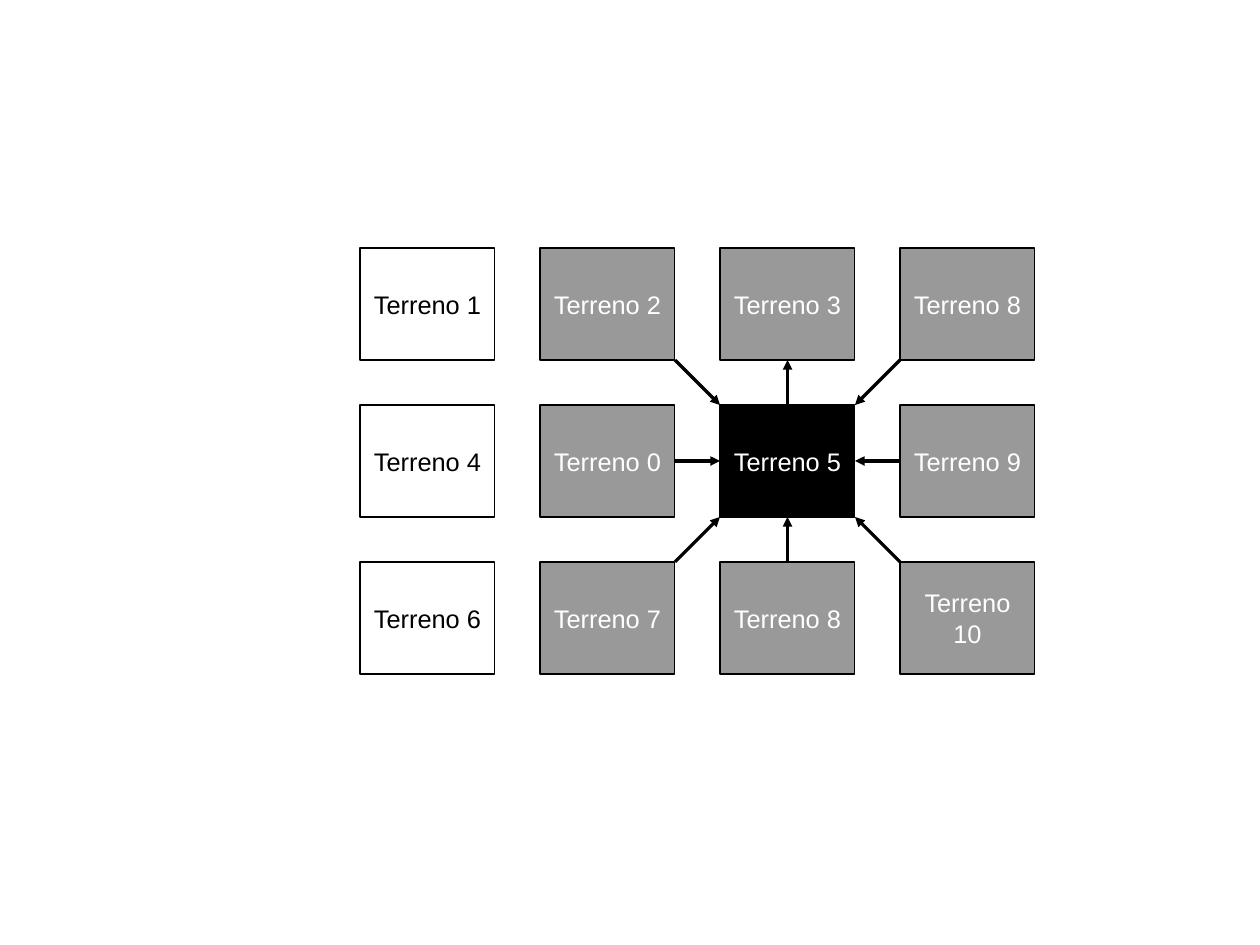
import pptx
import pptx.util
import pptx.dml.color
import pptx.enum.shapes
import pptx.enum.text
import pptx.oxml.ns
import lxml.etree

RGB = pptx.dml.color.RGBColor
BLACK = RGB(0x00, 0x00, 0x00)
GRAY = RGB(0x99, 0x99, 0x99)
WHITE = RGB(0xFF, 0xFF, 0xFF)

PLOTS = [
    ["Terreno 1", "Terreno 2", "Terreno 3", "Terreno 8"],
    ["Terreno 4", "Terreno 0", "Terreno 5", "Terreno 9"],
    ["Terreno 6", "Terreno 7", "Terreno 8", "Terreno 10"],
]
HUB = (1, 2)
# Each arrow runs from one (row, column) to another.
ARROWS = [
    ((0, 1), HUB), ((2, 1), HUB), ((2, 3), HUB), ((0, 3), HUB),
    (HUB, (0, 2)), ((1, 1), HUB), ((1, 3), HUB), ((2, 2), HUB),
]

PX = 8000  # EMU in one px
PAGE_W, PAGE_H = 1260, 945
LEFT, TOP = 360, 248
BOX_W, BOX_H, GAP = 135, 112, 45
# Side of a box that faces a (row, column) step: top, left, bottom, right
SIDES = {(-1, 0): 0, (0, -1): 1, (1, 0): 2, (0, 1): 3}


def place(row, col):
    """Top left corner of a grid cell, in px."""
    return LEFT + col * (BOX_W + GAP), TOP + row * (BOX_H + GAP)


def hue(row, col):
    """Fill and text colours of a cell."""
    if (row, col) == HUB:
        return BLACK, WHITE
    return (WHITE, BLACK) if col == 0 else (GRAY, WHITE)


def add_box(slide, row, col, text):
    x, y = place(row, col)
    fill, ink = hue(row, col)
    box = slide.shapes.add_shape(
        pptx.enum.shapes.MSO_SHAPE.RECTANGLE,
        x * PX, y * PX, BOX_W * PX, BOX_H * PX)
    box.shadow.inherit = False
    box.fill.solid()
    box.fill.fore_color.rgb = fill
    box.line.color.rgb = BLACK
    box.line.width = 0
    frame = box.text_frame
    frame.word_wrap = True
    frame.vertical_anchor = pptx.enum.text.MSO_ANCHOR.MIDDLE
    para = frame.paragraphs[0]
    para.alignment = pptx.enum.text.PP_ALIGN.CENTER
    run = para.add_run()
    run.text = text
    run.font.name = "Arial"
    run.font.size = pptx.util.Pt(16)
    run.font.color.rgb = ink
    return box


def edge(cell, step):
    """Point of a cell's outline, in EMU, that faces a step."""
    x, y = place(*cell)
    down, right = step
    return (x * PX + BOX_W * PX * (right + 1) // 2,
            y * PX + BOX_H * PX * (down + 1) // 2)


def add_arrow(slide, boxes, start, end):
    step = (end[0] - start[0], end[1] - start[1])
    back = (-step[0], -step[1])
    link = slide.shapes.add_connector(
        pptx.enum.shapes.MSO_CONNECTOR.STRAIGHT,
        *edge(start, step), *edge(end, back))
    if step in SIDES:
        link.begin_connect(boxes[start], SIDES[step])
        link.end_connect(boxes[end], SIDES[back])
    link.line.color.rgb = BLACK
    link.line.width = 0
    qn = pptx.oxml.ns.qn
    props = link._element.spPr
    lxml.etree.SubElement(props.find(qn("a:ln")), qn("a:tailEnd"), type="triangle")
    lxml.etree.SubElement(props, qn("a:effectLst"))


def main():
    deck = pptx.Presentation()
    deck.slide_width = PAGE_W * PX
    deck.slide_height = PAGE_H * PX
    slide = deck.slides.add_slide(deck.slide_layouts[6])
    boxes = {}
    for row, names in enumerate(PLOTS):
        for col, name in enumerate(names):
            boxes[row, col] = add_box(slide, row, col, name)
    for start, end in ARROWS:
        add_arrow(slide, boxes, start, end)
    deck.save("out.pptx")


if __name__ == "__main__":
    main()
